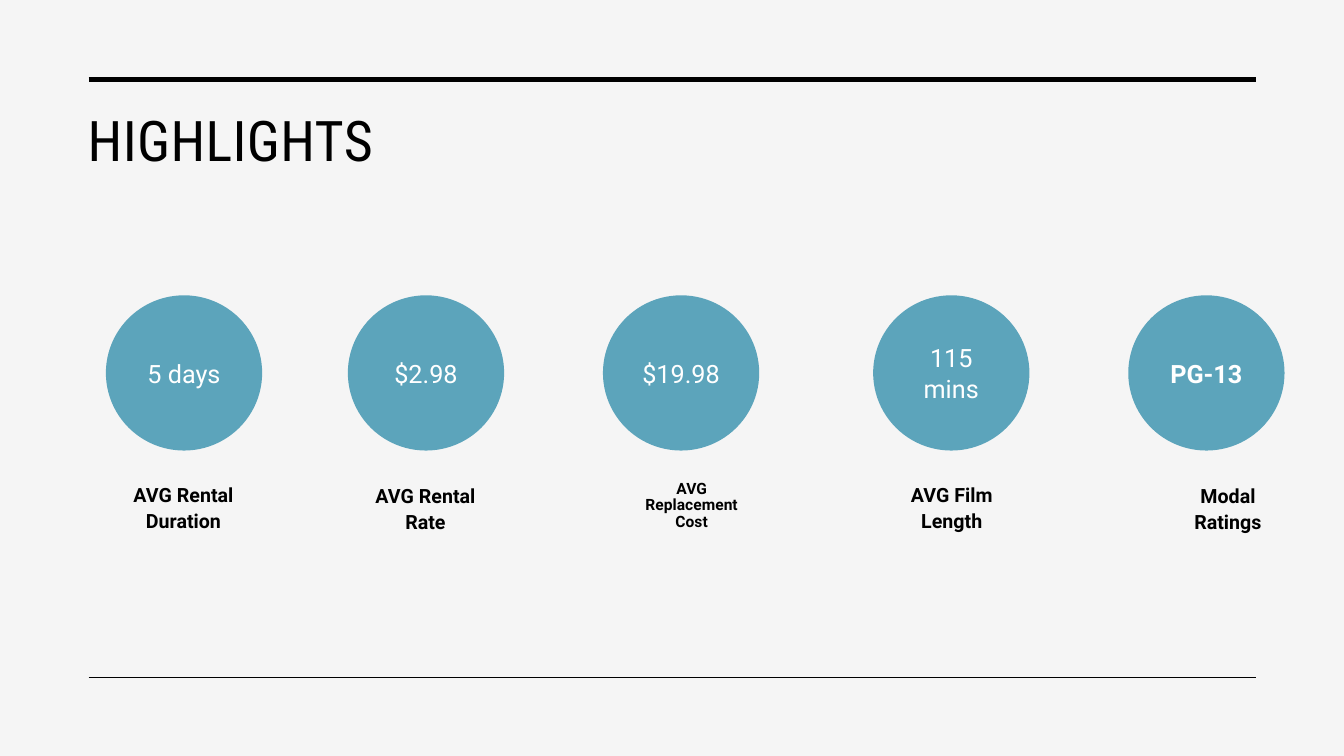
from lxml import etree
from pptx import Presentation
from pptx.dml.color import RGBColor
from pptx.enum.shapes import MSO_CONNECTOR, MSO_SHAPE
from pptx.enum.text import MSO_ANCHOR, MSO_AUTO_SIZE, PP_ALIGN
from pptx.oxml.ns import qn
from pptx.util import Inches, Pt

STRAIGHT = MSO_CONNECTOR.STRAIGHT
OVAL = MSO_SHAPE.OVAL
TOP, MIDDLE = MSO_ANCHOR.TOP, MSO_ANCHOR.MIDDLE
LEFT, CENTER = PP_ALIGN.LEFT, PP_ALIGN.CENTER
NO_AUTOFIT = MSO_AUTO_SIZE.NONE

BACKGROUND = RGBColor(0xF5, 0xF5, 0xF5)
BLACK = RGBColor(0, 0, 0)
WHITE = RGBColor(255, 255, 255)
TEAL = RGBColor(0x5C, 0xA4, 0xBB)

TITLE = "HIGHLIGHTS"
RULES = [(0.79, 3.5), (6.72, 1)]
RULE_LEFT, RULE_RIGHT = 0.88, 12.46

# value, bold value, circle left, label, label left, label top, label size, line spacing
HIGHLIGHTS = [
    ("5 days", False, 1.05, "AVG Rental Duration", 1.15, 4.72, 14, 1.1),
    ("$2.98", False, 3.45, "AVG Rental Rate", 3.55, 4.73, 14, 1.1),
    ("$19.98", False, 5.98, "AVG Replacement Cost", 6.19, 4.72, 11.1, 0.9),
    ("115 mins", False, 8.66, "AVG Film Length", 8.77, 4.72, 14, 1.1),
    ("PG-13", True, 11.19, "Modal Ratings", 11.51, 4.73, 14, 1.1),
]
CIRCLE_TOP, CIRCLE_WIDTH, CIRCLE_HEIGHT = 2.93, 1.55, 1.54
LABEL_WIDTH, LABEL_HEIGHT = 1.34, 0.6


def write(frame, text, size, color, bold=False, font="Roboto", align=CENTER, anchor=TOP):
    """Fill a text frame with one formatted paragraph and return it."""
    frame.word_wrap = True
    frame.auto_size = NO_AUTOFIT
    frame.vertical_anchor = anchor
    paragraph = frame.paragraphs[0]
    paragraph.text = text
    paragraph.alignment = align
    paragraph.font.name = font
    paragraph.font.size = Pt(size)
    paragraph.font.bold = bold
    paragraph.font.color.rgb = color
    return paragraph


def add_rule(slide, y, weight):
    """Draw a horizontal rule across the content width."""
    rule = slide.shapes.add_connector(
        STRAIGHT, Inches(RULE_LEFT), Inches(y), Inches(RULE_RIGHT), Inches(y))
    rule.line.color.rgb = BLACK
    rule.line.width = Pt(weight)
    etree.SubElement(rule._element.spPr, qn("a:effectLst"))


def add_title(slide):
    """Place and format the title."""
    title = slide.shapes.title
    title.left, title.top = Inches(0.77), Inches(1)
    title.width, title.height = Inches(11.69), Inches(1.43)
    heading = write(title.text_frame, TITLE, 40, BLACK, font="Roboto Condensed", align=LEFT)
    heading.runs[0]._r.get_or_add_rPr().set("spc", "30")


def add_highlight(slide, value, bold, left, label, label_left, label_top, size, spacing):
    """Add a circled value with its label below."""
    circle = slide.shapes.add_shape(
        OVAL, Inches(left), Inches(CIRCLE_TOP), Inches(CIRCLE_WIDTH), Inches(CIRCLE_HEIGHT))
    circle.shadow.inherit = False
    circle.fill.solid()
    circle.fill.fore_color.rgb = TEAL
    circle.line.fill.background()
    write(circle.text_frame, value, 18, WHITE, bold, anchor=MIDDLE)
    caption = slide.shapes.add_textbox(
        Inches(label_left), Inches(label_top), Inches(LABEL_WIDTH), Inches(LABEL_HEIGHT))
    write(caption.text_frame, label, size, BLACK, True).line_spacing = spacing


def main():
    """Build the highlights slide."""
    prs = Presentation()
    prs.slide_width, prs.slide_height = Inches(13.33), Inches(7.5)
    slide = prs.slides.add_slide(prs.slide_layouts[5])
    slide.background.fill.solid()
    slide.background.fill.fore_color.rgb = BACKGROUND
    for y, weight in RULES:
        add_rule(slide, y, weight)
    add_title(slide)
    for highlight in HIGHLIGHTS:
        add_highlight(slide, *highlight)
    prs.save("out.pptx")


if __name__ == "__main__":
    main()
